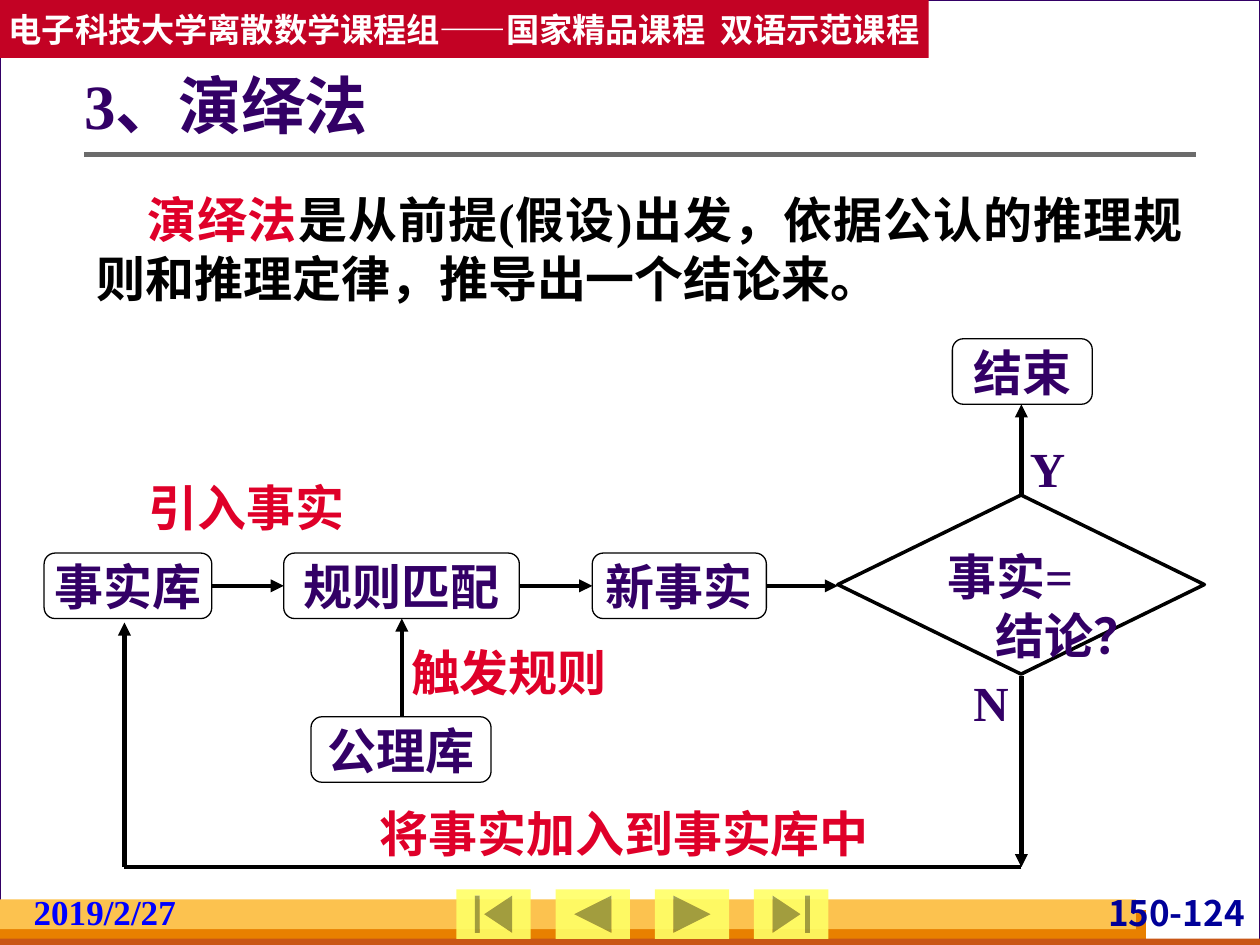
import itertools
from dataclasses import dataclass

import pptx
import pptx.util
import pptx.dml.color
import pptx.enum.shapes
import pptx.enum.text
import pptx.oxml
import pptx.oxml.ns

Cm = pptx.util.Cm
Pt = pptx.util.Pt
SHAPE = pptx.enum.shapes.MSO_SHAPE
ALIGN = pptx.enum.text.PP_ALIGN
ANCHOR = pptx.enum.text.MSO_ANCHOR


@dataclass(frozen=True)
class Theme:
    latin: str = "Times New Roman"
    cjk: str = "Noto Sans CJK SC"
    white: str = "FFFFFF"
    black: str = "000000"
    purple: str = "330066"
    red: str = "DF0029"
    banner: str = "C30224"
    rule: str = "6B6B6B"
    orange: str = "E88000"
    rust: str = "C95616"
    amber: str = "FCC24F"
    button: str = "FFFF66"
    date: str = "0000FF"
    page: str = "000099"
    title_size: int = 36
    text_size: int = 28
    footer_size: int = 20
    banner_size: int = 19


THEME = Theme()


def rgb(color):
    return pptx.dml.color.RGBColor.from_string(color)


def add_xml(parent, tag, **attributes):
    child = pptx.oxml.parse_xml(f"<a:{tag} {pptx.oxml.ns.nsdecls('a')}/>")
    for name, value in attributes.items():
        child.set(name, value)
    parent.append(child)


def write(frame, *runs, size=THEME.text_size, latin=THEME.latin,
          align=ALIGN.CENTER, anchor=ANCHOR.MIDDLE, insets=(0, 0, 0, 0),
          wrap=True, spacing=None, left=0, first=0):
    """Fill a frame with one paragraph of (text, colour) runs."""
    frame.word_wrap = wrap
    frame.vertical_anchor = anchor
    (frame.margin_left, frame.margin_top,
     frame.margin_right, frame.margin_bottom) = map(Cm, insets)
    paragraph = frame.paragraphs[0]
    paragraph.alignment = align
    paragraph.line_spacing = spacing
    properties = paragraph._p.get_or_add_pPr()
    properties.set("marL", str(Cm(left)))
    properties.set("indent", str(Cm(first)))
    for text, color in runs:
        for number, line in enumerate(text.split("\n")):
            if number:
                paragraph.add_line_break()
            run = paragraph.add_run()
            run.text = line
            run.font.size = Pt(size)
            run.font.bold = True
            run.font.name = latin
            run.font.color.rgb = rgb(color)
            add_xml(run._r.get_or_add_rPr(), "ea", typeface=THEME.cjk)


class SlideBuilder:
    def __init__(self, slide, theme):
        self.slide = slide
        self.theme = theme

    def title(self, text, *place):
        title = self.slide.shapes.title
        title.left, title.top, title.width, title.height = map(Cm, place)
        write(title.text_frame, (text, self.theme.purple),
              size=self.theme.title_size, align=ALIGN.LEFT,
              insets=(0, 0.13, 0.25, 0.13), spacing=0.9)

    def shape(self, kind, *place, fill=None, line=None, width=0.75, opacity=None):
        shape = self.slide.shapes.add_shape(kind, *map(Cm, place))
        shape.shadow.inherit = False
        if fill:
            shape.fill.solid()
            shape.fill.fore_color.rgb = rgb(fill)
            if opacity:
                color = shape.fill._xPr.find(".//" + pptx.oxml.ns.qn("a:srgbClr"))
                add_xml(color, "alpha", val=str(opacity * 1000))
        else:
            shape.fill.background()
        if line:
            shape.line.color.rgb = rgb(line)
            shape.line.width = Pt(width)
        else:
            shape.line.fill.background()
        return shape

    def text(self, *runs, place, **style):
        box = self.slide.shapes.add_textbox(*map(Cm, place))
        write(box.text_frame, *runs, **style)

    def step(self, text, *place):
        box = self.shape(SHAPE.FLOWCHART_ALTERNATE_PROCESS, *place,
                         fill=self.theme.white, line=self.theme.black)
        write(box.text_frame, (text, self.theme.purple))

    def label(self, text, color, *place):
        box = self.shape(SHAPE.FLOWCHART_ALTERNATE_PROCESS, *place)
        write(box.text_frame, (text, color))

    def line(self, *ends, color=THEME.black, width=2.5, arrow=True):
        line = self.slide.shapes.add_connector(
            pptx.enum.shapes.MSO_CONNECTOR.STRAIGHT, *map(Cm, ends))
        line.line.color.rgb = rgb(color)
        line.line.width = Pt(width)
        if arrow:
            add_xml(line.line._get_or_add_ln(), "tailEnd", type="triangle")
        add_xml(line._element.spPr, "effectLst")


def add_frame(page, theme):
    # Page, footer bands and title rule
    page.shape(SHAPE.RECTANGLE, 0, 0, 25.4, 19.05, fill=theme.white, line=theme.purple)
    for color, *place in [(theme.orange, 0, 18.35, 23.1, 0.7),
                          (theme.rust, 0, 18.92, 25.4, 0.2),
                          (theme.amber, 0, 18.13, 22.9, 0.6)]:
        page.shape(SHAPE.RECTANGLE, *place, fill=color)
    page.line(1.7, 3.12, 24.1, 3.12, color=theme.rule, width=3, arrow=False)

    # Navigation buttons
    buttons = [SHAPE.ACTION_BUTTON_BEGINNING, SHAPE.ACTION_BUTTON_BACK_OR_PREVIOUS,
               SHAPE.ACTION_BUTTON_FORWARD_OR_NEXT, SHAPE.ACTION_BUTTON_END]
    for number, button in enumerate(buttons):
        page.shape(button, 9.2 + 2 * number, 17.93, 1.5, 1,
                   fill=theme.button, opacity=90)

    # Course banner, date and page number
    banner = page.shape(SHAPE.RECTANGLE, 0, 0, 18.72, 1.17, fill=theme.banner)
    write(banner.text_frame,
          ("电子科技大学离散数学课程组——国家精品课程  双语示范课程", theme.white),
          size=theme.banner_size, latin=theme.cjk, wrap=False)
    footer = dict(size=theme.footer_size, insets=(0.1, 0, 0.1, 0))
    page.text(("2019/2/27", theme.date), place=(0.58, 17.95, 4.19, 0.84),
              align=ALIGN.LEFT, **footer)
    page.text(("150-124", theme.page), place=(22.1, 17.98, 3.1, 0.84),
              align=ALIGN.RIGHT, latin=theme.cjk, **footer)


def add_flow(page, theme):
    row_top, height = 11.15, 1.32
    row_middle, row_bottom = row_top + height / 2, row_top + height
    decision_x, facts_x, rules_x, return_y = 20.59, 2.51, 8.1, 17.48

    # Labels of the flow
    for text, color, *place in [
            ("Y", theme.purple, 20.55, 8.79, 1.14, 1.3),
            ("N", theme.purple, 19.41, 13.51, 1.14, 1.3),
            ("触发规则", theme.red, 7.9, 12.88, 4.72, height),
            ("将事实加入到事实库中", theme.red, 7.52, 16.13, 10.13, height),
            ("引入事实", theme.red, 2.87, 9.55, 4.19, height)]:
        page.label(text, color, *place)

    # Decision
    decision = page.shape(SHAPE.FLOWCHART_DECISION, 16.89, 9.98, 7.39, 3.61,
                          fill=theme.white, line=theme.black, width=2)
    write(decision.text_frame, ("事实=\n结论？", theme.purple), align=ALIGN.LEFT,
          anchor=ANCHOR.TOP, insets=(0.36, 0.12, -1, 0), spacing=Pt(34),
          left=0.97, first=-0.97)

    # Main row, with an arrow in each gap
    row = [("事实库", 0.89, 3.38), ("规则匹配", 5.72, 4.75), ("新事实", 11.94, 3.51)]
    for text, left, width in row:
        page.step(text, left, row_top, width, height)
    spans = [(left, left + width) for _, left, width in row] + [(16.89, 24.28)]
    for (_, start), (end, _) in itertools.pairwise(spans):
        page.line(start, row_middle, end, row_middle)

    # Axioms below and end above
    page.step("公理库", 6.27, 14.45, 3.63, height)
    page.line(rules_x, 14.45, rules_x, row_bottom)
    page.step("结束", 19.2, 6.83, 2.82, height)
    page.line(decision_x, 9.98, decision_x, 6.83 + height)

    # Return path to the facts
    page.line(decision_x, 13.62, decision_x, return_y)
    page.line(decision_x, return_y, facts_x, return_y, arrow=False)
    page.line(facts_x, return_y, facts_x, row_bottom + 0.08)


def main():
    deck = pptx.Presentation()
    deck.slide_width, deck.slide_height = Cm(25.4), Cm(19.05)
    slide = deck.slides.add_slide(deck.slide_layouts.get_by_name("Title Only"))
    page = SlideBuilder(slide, THEME)

    add_frame(page, THEME)
    page.title("3、演绎法", 1.7, 0.91, 22.4, 2.57)
    # The title stands above the page background
    slide.shapes._spTree.append(slide.shapes.title._element)

    # Definition
    page.text(("演绎法", THEME.red),
              ("是从前提(假设)出发，依据公认的推理规则和推理定律，推导出一个结论来。",
               THEME.black),
              place=(1.7, 3.7, 22.4, 3.12), align=ALIGN.JUSTIFY, anchor=ANCHOR.TOP,
              insets=(0.25, 0.13, 0.25, 0.13), spacing=1.0, first=1.03)
    add_flow(page, THEME)
    deck.save("out.pptx")


if __name__ == "__main__":
    main()
